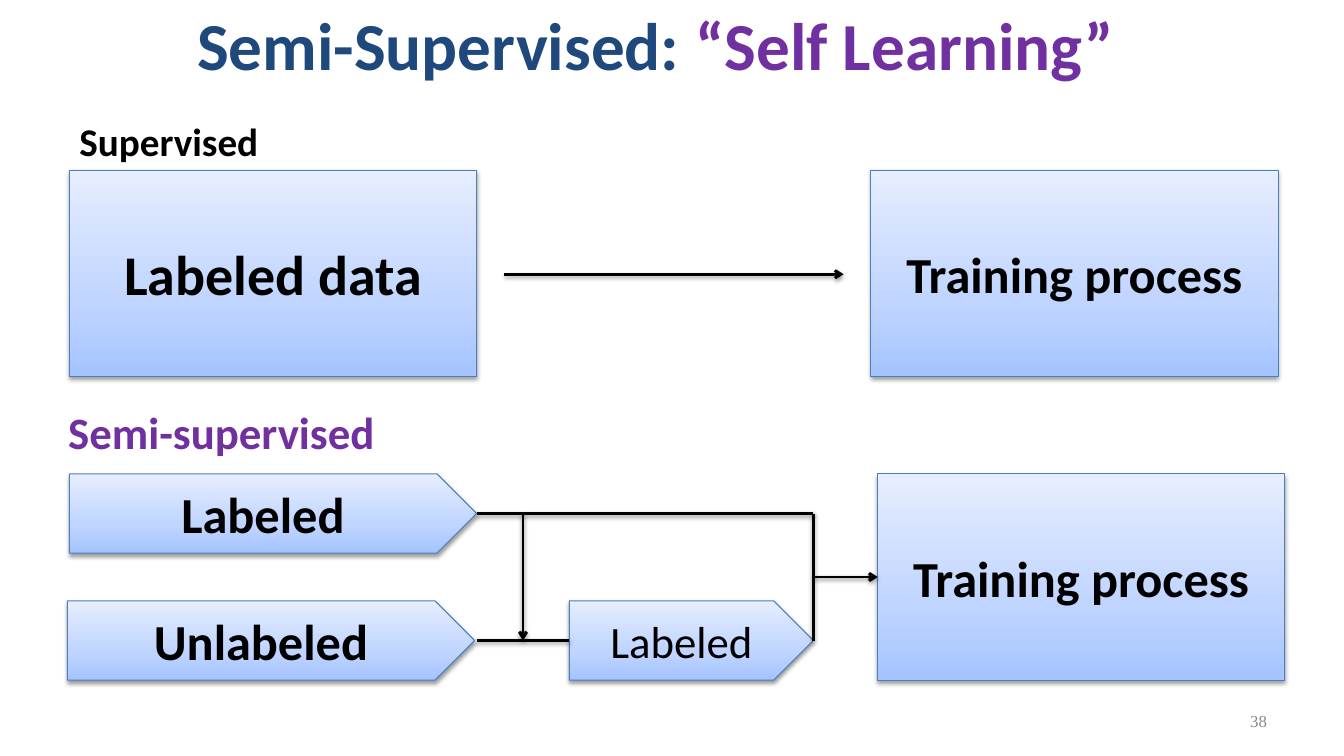
from lxml import etree
from pptx import Presentation
from pptx.dml.color import RGBColor
from pptx.enum.shapes import MSO_CONNECTOR, MSO_SHAPE
from pptx.enum.text import MSO_ANCHOR, MSO_AUTO_SIZE, PP_ALIGN
from pptx.oxml.ns import qn
from pptx.util import Cm, Pt

RECT, PLATE = MSO_SHAPE.RECTANGLE, MSO_SHAPE.PENTAGON
STRAIGHT = MSO_CONNECTOR.STRAIGHT
LEFT, MID, RIGHT = PP_ALIGN.LEFT, PP_ALIGN.CENTER, PP_ALIGN.RIGHT
TOP, MIDDLE = MSO_ANCHOR.TOP, MSO_ANCHOR.MIDDLE
FIXED = MSO_AUTO_SIZE.NONE
WEST, EAST = 1, 3

COLORS = {
    "navy": "1F497D", "purple": "7030A0", "black": "000000", "gray": "898989",
    "edge": "4B7EBC", "deep": "A4C4FF", "soft": "BFD4FF", "pale": "E6EEFF",
}
STOPS = [(0, "deep"), (35, "soft"), (100, "pale")]


def color(name):
    return RGBColor.from_string(COLORS[name])


def node(parent, tag, **attrs):
    return etree.SubElement(parent, qn(tag), attrs)


def write(para, text, size=36, ink="black", bold=True, face="Calibri", align=MID):
    para.alignment = align
    run = para.add_run()
    run.text = text
    run.font.name = face
    run.font.size = Pt(size)
    run.font.bold = bold
    run.font.color.rgb = color(ink)


class Board:
    def __init__(self, slide):
        self.slide = slide
        self.shapes = slide.shapes

    def shade(self, effects):
        shadow = node(effects, "a:outerShdw", blurRad=str(Pt(3.1)), dist=str(Pt(1.6)),
                      dir="5400000", rotWithShape="0")
        tint = node(shadow, "a:srgbClr", val=COLORS["black"])
        node(tint, "a:alpha", val="38000")

    def blend(self, props):
        fill = etree.Element(qn("a:gradFill"), rotWithShape="1")
        stops = node(fill, "a:gsLst")
        for place, name in STOPS:
            stop = node(stops, "a:gs", pos=str(place * 1000))
            node(stop, "a:srgbClr", val=COLORS[name])
        node(fill, "a:lin", ang="16200000", scaled="0")
        props.find(qn("a:ln")).addprevious(fill)

    def title(self, parts, x, y, w, h):
        head = self.shapes.title
        head.left, head.top, head.width, head.height = Cm(x), Cm(y), Cm(w), Cm(h)
        frame = head.text_frame
        frame.auto_size = FIXED
        frame.vertical_anchor = MIDDLE
        for text, ink in parts:
            write(frame.paragraphs[0], text, size=48, ink=ink)

    def box(self, kind, text, x, y, w, h, **style):
        shape = self.shapes.add_shape(kind, Cm(x), Cm(y), Cm(w), Cm(h))
        shape.line.color.rgb = color("edge")
        shape.line.width = Pt(0.75)
        shape.shadow.inherit = False
        props = shape._element.spPr
        self.blend(props)
        self.shade(props.find(qn("a:effectLst")))
        shape.text_frame.vertical_anchor = MIDDLE
        write(shape.text_frame.paragraphs[0], text, **style)
        return shape

    def label(self, text, x, y, w, h, anchor=TOP, align=LEFT, **style):
        frame = self.shapes.add_textbox(Cm(x), Cm(y), Cm(w), Cm(h)).text_frame
        frame.word_wrap = True
        frame.vertical_anchor = anchor
        write(frame.paragraphs[0], text, align=align, **style)

    def line(self, x1, y1, x2, y2, arrow=False, start=None, end=None):
        wire = self.shapes.add_connector(STRAIGHT, Cm(x1), Cm(y1), Cm(x2), Cm(y2))
        wire.line.color.rgb = color("black")
        wire.line.width = Pt(2)
        if start:
            wire.begin_connect(*start)
        if end:
            wire.end_connect(*end)
        props = wire._element.spPr
        if arrow:
            node(props.find(qn("a:ln")), "a:tailEnd", type="arrow")
        self.shade(node(props, "a:effectLst"))


def main():
    deck = Presentation()
    deck.slide_width, deck.slide_height = Cm(33.87), Cm(19.05)
    board = Board(deck.slides.add_slide(deck.slide_layouts[5]))
    board.title([("Semi-Supervised: ", "navy"), ("“Self Learning”", "purple")],
                2.34, 0.36, 28.37, 1.47)

    left, wide, tall, low = 1.75, 10.26, 5.2, 2
    upper, lower = 4.29, 11.94
    base = lower + tall - low
    tip, join, goal = left + wide, 20.5, 22.12
    high, deep = lower + low / 2, base + low / 2
    center = lower + tall / 2

    board.box(RECT, "Labeled data", left, upper, wide, tall, size=40)
    train = board.box(RECT, "Training process", goal, lower, wide, tall)
    board.box(RECT, "Training process", 21.95, upper, wide, tall)
    known = board.box(PLATE, "Labeled", left, lower, wide, low)
    board.box(PLATE, "Unlabeled", 1.7, base, wide, low)
    guess = board.box(PLATE, "Labeled", 14.35, base, join - 14.35, low,
                      size=32, bold=False)

    board.line(12.7, 6.91, 21.26, 6.91, arrow=True)
    board.line(tip, high, join, high, start=(known, EAST))
    board.line(join, high, join, deep, end=(guess, EAST))
    board.line(tip, deep, 14.35, deep, end=(guess, WEST))
    board.line(13.18, high, 13.18, deep, arrow=True)
    board.line(join, center, goal, center, arrow=True, end=(train, WEST))

    board.label("Supervised", left, 2.84, 9.47, 2.21, size=28)
    board.label("Semi-supervised", 1.47, 10.08, 8.64, 1.63, size=32, ink="purple")
    board.label("38", 24.28, 17.65, 7.9, 1.02, anchor=MIDDLE, align=RIGHT,
                size=12, ink="gray", bold=False, face="Times New Roman")
    deck.save("out.pptx")


if __name__ == "__main__":
    main()
